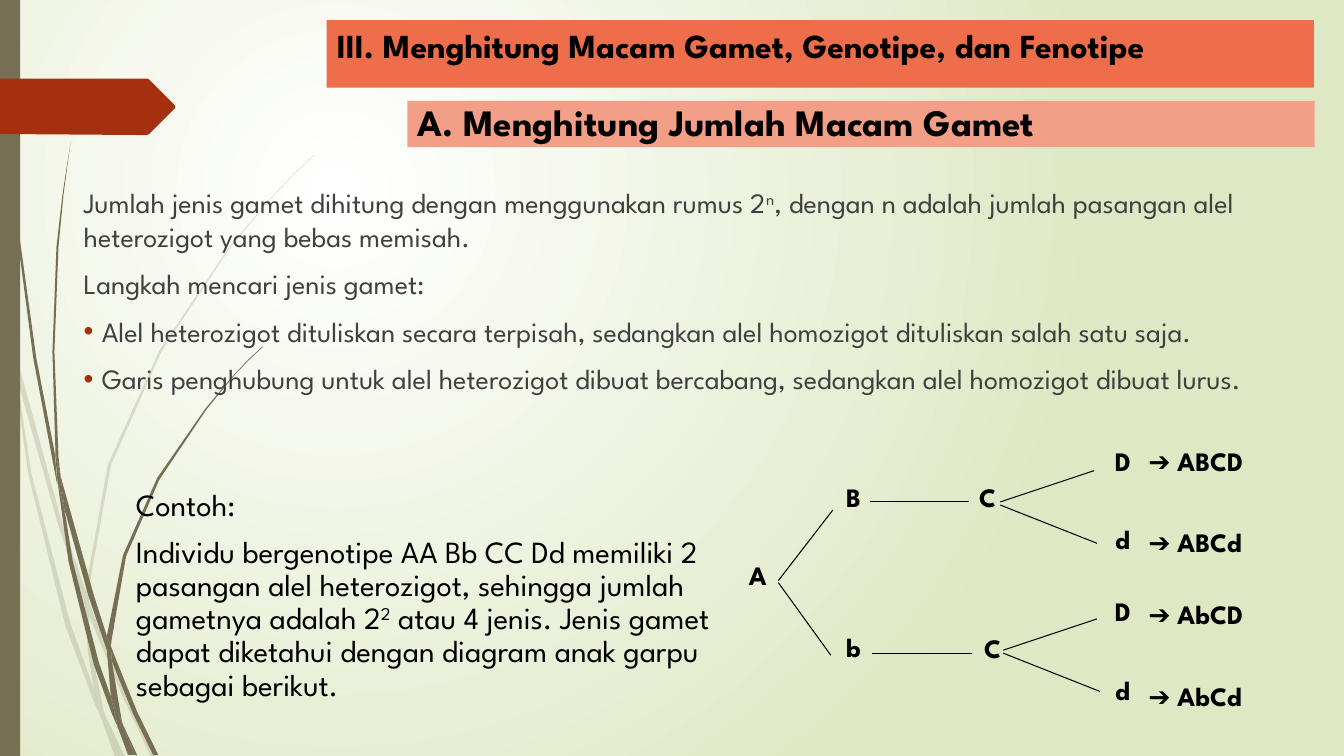
from dataclasses import dataclass
from typing import NamedTuple

from lxml import etree
from pptx import Presentation
from pptx import util as u
from pptx.dml import color
from pptx.enum import shapes, text
from pptx.oxml import ns


@dataclass(frozen=True)
class Theme:
    font: str = "League Spartan"
    ink: str = "000000"
    body: str = "404040"
    stem: str = "766F54"
    accent: str = "A53010"
    title_fill: str = "EE6E4B"
    subtitle_fill: str = "F39E87"
    glow: tuple = ("FFFFFF", "DFE8C4")
    title_size: float = 24
    subtitle_size: float = 26.6
    body_size: float = 20
    example_size: float = 22
    node_size: float = 19


THEME = Theme()


@dataclass(frozen=True)
class Style:
    size: float
    color: str = THEME.ink
    bold: bool = False
    spacing: float = 0.9
    before: float = 0
    align: text.PP_ALIGN = text.PP_ALIGN.LEFT


class Box(NamedTuple):
    left: float
    top: float
    width: float
    height: float


class Branch(NamedTuple):
    x1: float
    y1: float
    x2: float
    y2: float


class Label(NamedTuple):
    text: str
    left: float
    top: float


FAINT_GRASS = (
    ((0.11, 3.5), (0.09, 3.22), (0, 2.82), (0, 2.99), (0.1, 3.44)),
    ((0.58, 5.22), (0.84, 5.99), (0.85, 5.86), (0.62, 5.2), (0.14, 3.45), (0.17, 3.76)),
    ((0.92, 6.07), (0.88, 5.96), (0.88, 6.1), (1.23, 6.94), (1.5, 7.51), (1.55, 7.51), (1.27, 6.92)),
    ((1.19, 7.51), (1.24, 7.51), (1.05, 7.11)),
    ((0.93, 6.83), (0.7, 6.19), (0.31, 4.69), (0.17, 3.76), (0.11, 3.5), (0.28, 4.7), (0.65, 6.21),
     (0.92, 6.93), (1.01, 7.14), (0.99, 7.07)),
    ((0.84, 5.99), (0.87, 6.46), (0.93, 6.83), (0.96, 6.92), (1.05, 7.11), (1.03, 7.06), (0.91, 6.46),
     (0.88, 6.1), (0.88, 6.08)),
    ((0.88, 5.84), (1.1, 4.62), (1.6, 3.49), (2.29, 2.45), (2.68, 1.98), (2.9, 1.75), (3.12, 1.54),
     (3.12, 1.53), (2.89, 1.75), (2.68, 1.97), (2.28, 2.44), (1.58, 3.48), (1.07, 4.61), (0.85, 5.84),
     (0.85, 5.86), (0.88, 5.96)),
    ((1.01, 7.14), (1.14, 7.51), (1.19, 7.51)),
    ((0.88, 6.08), (0.88, 6.1), (0.88, 5.96), (0.85, 5.86), (0.84, 5.99)),
    ((0.96, 6.92), (0.93, 6.83), (0.99, 7.07), (1.01, 7.14), (1.19, 7.51), (1.05, 7.11)),
)
GRASS = (
    ((0.07, 1.1), (0.17, 2.33), (0.33, 3.55), (0.56, 4.77), (0.57, 4.81), (0.55, 4.57), (0.55, 4.53),
     (0.36, 3.55), (0.19, 2.32), (0.08, 1.09), (0.05, 0.48), (0.04, 0), (0.03, 0), (0.04, 0.48)),
    ((0.88, 5.92), (1.06, 6.45), (1.06, 6.33), (1.06, 6.31), (0.93, 5.9), (0.6, 4.72), (0.64, 5.05)),
    ((1.13, 6.49), (1.1, 6.41), (1.11, 6.56), (1.32, 7.08), (1.52, 7.49), (1.57, 7.49), (1.36, 7.06)),
    ((1.1, 6.91), (0.98, 6.57), (0.72, 5.56), (0.64, 5.05), (0.57, 4.77), (0.68, 5.57), (0.93, 6.59),
     (1.11, 7.08), (1.17, 7.22), (1.16, 7.17)),
    ((0.6, 4.72), (0.58, 4.53), (0.54, 3.49), (0.58, 2.45), (0.63, 1.93), (0.7, 1.41), (0.62, 1.93),
     (0.56, 2.45), (0.52, 3.49), (0.55, 4.49)),
    ((1.33, 7.49), (1.36, 7.49), (1.22, 7.19)),
    ((0.57, 4.77), (0.64, 5.05), (0.6, 4.72), (0.55, 4.49), (0.55, 4.53)),
    ((1.11, 6.33), (1.25, 5.52), (1.58, 4.76), (2.05, 4.06), (2.31, 3.74), (2.45, 3.59), (2.61, 3.44),
     (2.6, 3.44), (2.45, 3.58), (2.31, 3.73), (2.04, 4.05), (1.56, 4.74), (1.22, 5.51), (1.06, 6.31),
     (1.1, 6.41)),
    ((1.17, 7.22), (1.27, 7.49), (1.31, 7.49)),
    ((1.06, 6.45), (1.1, 6.91), (1.16, 7.06), (1.22, 7.19), (1.21, 7.16), (1.11, 6.56), (1.09, 6.51)),
    ((1.06, 6.45), (1.09, 6.51), (1.11, 6.56), (1.1, 6.41), (1.06, 6.31), (1.06, 6.33)),
    ((1.16, 7.06), (1.1, 6.91), (1.16, 7.17), (1.17, 7.22), (1.3, 7.49), (1.33, 7.49), (1.22, 7.19)),
)
RIBBON = ((1.73, 1.08), (1.48, 1.33), (1.46, 1.34), (1.36, 1.34), (0, 1.33), (0, 0.78), (1.46, 0.78),
          (1.48, 0.79), (1.73, 1.04), (1.74, 1.06))
ALLELES = (
    Label("A", 6.92, 5.53), Label("B", 7.87, 4.76), Label("b", 7.87, 6.25),
    Label("C", 9.2, 4.76), Label("C", 9.25, 6.26), Label("D", 10.54, 4.4),
    Label("d", 10.54, 5.17), Label("D", 10.54, 5.89), Label("d", 10.54, 6.67),
)
GAMETES = (Label("➔ ABCD", 11.29, 4.4), Label("➔ ABCd", 11.29, 5.2),
           Label("➔ AbCD", 11.29, 5.92), Label("➔ AbCd", 11.29, 6.73))
BRANCHES = (
    Branch(7.72, 5.76, 8.26, 5.06), Branch(7.72, 5.78, 8.24, 6.5), Branch(9.92, 4.98, 10.85, 4.67),
    Branch(9.92, 5.01, 10.88, 5.39), Branch(9.95, 6.45, 10.88, 6.14), Branch(9.95, 6.48, 10.91, 6.86),
    Branch(8.63, 4.98, 9.61, 4.98), Branch(8.65, 6.48, 9.64, 6.48),
)
STEPS = (
    "Jumlah jenis gamet dihitung dengan menggunakan rumus 2^n^, dengan n adalah jumlah pasangan alel "
    "heterozigot yang bebas memisah.",
    "Langkah mencari jenis gamet:",
    "Alel heterozigot dituliskan secara terpisah, sedangkan alel homozigot dituliskan salah satu saja.",
    "Garis penghubung untuk alel heterozigot dibuat bercabang, sedangkan alel homozigot dibuat lurus.",
)
EXAMPLE = (
    "Contoh:",
    "Individu bergenotipe AA Bb CC Dd memiliki 2 pasangan alel heterozigot, sehingga jumlah gametnya "
    "adalah 2^2^ atau 4 jenis. Jenis gamet dapat diketahui dengan diagram anak garpu sebagai berikut.",
)


def paint(shape, fill: str) -> None:
    shape.fill.solid()
    shape.fill.fore_color.rgb = color.RGBColor.from_string(fill)
    shape.line.fill.background()


def write(frame, lines: tuple, style: Style, anchor=text.MSO_ANCHOR.TOP) -> None:
    """Fill a frame with paragraphs; text between carets is raised."""
    frame.word_wrap, frame.auto_size, frame.vertical_anchor = True, text.MSO_AUTO_SIZE.NONE, anchor
    for index, line in enumerate(lines):
        paragraph = frame.add_paragraph() if index else frame.paragraphs[0]
        paragraph.alignment, paragraph.line_spacing = style.align, style.spacing
        paragraph.space_before = u.Pt(style.before)
        for position, piece in enumerate(line.split("^")):
            run = paragraph.add_run()
            run.text = piece
            run.font.name, run.font.size, run.font.bold = THEME.font, u.Pt(style.size), style.bold
            run.font.color.rgb = color.RGBColor.from_string(style.color)
            if position % 2:
                run._r.get_or_add_rPr().set("baseline", "30000")


def set_bullet(paragraph, bulleted: bool) -> None:
    properties = paragraph._p.get_or_add_pPr()
    indent = u.Inches(0.18) if bulleted else 0
    properties.set("marL", str(indent))
    properties.set("indent", str(-indent))
    if bulleted:
        bullet_color = etree.SubElement(properties, ns.qn("a:buClr"))
        etree.SubElement(bullet_color, ns.qn("a:srgbClr"), val=THEME.accent)
        etree.SubElement(properties, ns.qn("a:buFont"), typeface="Arial")
        etree.SubElement(properties, ns.qn("a:buChar"), char="•")
    else:
        etree.SubElement(properties, ns.qn("a:buNone"))


def paint_background(slide) -> None:
    """Circular glow centred in the upper left quarter."""
    fill = slide.background.fill
    fill.gradient()
    for position, stop in enumerate(fill.gradient_stops):
        stop.position, stop.color.rgb = position, color.RGBColor.from_string(THEME.glow[position])
    gradient = slide._element.find(".//" + ns.qn("a:gradFill"))
    gradient.remove(gradient.find(ns.qn("a:lin")))
    circle = etree.SubElement(gradient, ns.qn("a:path"), {"path": "circle"})
    etree.SubElement(circle, ns.qn("a:fillToRect"), l="50000", t="50000", r="100000", b="100000")


def draw_outline(slide, points: tuple, fill: str, faint: bool = False) -> None:
    start, *rest = [(u.Inches(x), u.Inches(y)) for x, y in points]
    builder = slide.shapes.build_freeform(*start)
    builder.add_line_segments(rest, close=True)
    shape = builder.convert_to_shape()
    shape.shadow.inherit = False
    paint(shape, fill)
    if faint:
        shade = shape._element.spPr.find(".//" + ns.qn("a:srgbClr"))
        etree.SubElement(shade, ns.qn("a:alpha"), val="20000")


def draw_block(slide, box: Box, fill: str):
    shape = slide.shapes.add_shape(shapes.MSO_SHAPE.RECTANGLE, *map(u.Inches, box))
    shape.shadow.inherit = False
    paint(shape, fill)
    return shape


def draw_text(slide, box: Box, lines: tuple, style: Style) -> None:
    write(slide.shapes.add_textbox(*map(u.Inches, box)).text_frame, lines, style)


def place(slide, holder, box: Box) -> None:
    """Move a placeholder to its box and to the front."""
    holder.left, holder.top, holder.width, holder.height = map(u.Inches, box)
    slide.shapes._spTree.append(holder._element)


def draw_texts(slide, title, body) -> None:
    place(slide, body, Box(0.73, 1.79, 12.31, 2.04))
    write(body.text_frame, STEPS, Style(THEME.body_size, THEME.body, spacing=1.0, before=10))
    for index, paragraph in enumerate(body.text_frame.paragraphs):
        set_bullet(paragraph, index >= 2)
    subtitle = draw_block(slide, Box(4.04, 1, 9, 0.46), THEME.subtitle_fill)
    write(subtitle.text_frame, ("A. Menghitung Jumlah Macam Gamet",),
          Style(THEME.subtitle_size, bold=True), text.MSO_ANCHOR.MIDDLE)
    place(slide, title, Box(3.24, 0.2, 9.79, 0.67))
    paint(title, THEME.title_fill)
    write(title.text_frame, ("III. Menghitung Macam Gamet, Genotipe, dan Fenotipe",),
          Style(THEME.title_size, bold=True, spacing=1.0))
    draw_text(slide, Box(1.25, 4.81, 5.91, 2.11), EXAMPLE, Style(THEME.example_size, before=9.7))


def draw_fork_diagram(slide) -> None:
    for labels, width, height, align in ((ALLELES, 1.19, 0.58, text.PP_ALIGN.CENTER),
                                         (GAMETES, 1.92, 0.56, text.PP_ALIGN.LEFT)):
        for label in labels:
            draw_text(slide, Box(label.left, label.top, width, height), (label.text,),
                      Style(THEME.node_size, bold=True, align=align))
    for branch in BRANCHES:
        line = slide.shapes.add_connector(shapes.MSO_CONNECTOR.STRAIGHT, *map(u.Inches, branch))
        line.line.color.rgb = color.RGBColor.from_string(THEME.ink)
        line.line.width = u.Pt(0.75)
        etree.SubElement(line._element.spPr, ns.qn("a:effectLst"))


def main() -> None:
    presentation = Presentation()
    presentation.slide_width, presentation.slide_height = u.Inches(13.33), u.Inches(7.5)
    slide = presentation.slides.add_slide(presentation.slide_layouts[1])
    title, body = slide.placeholders
    paint_background(slide)
    for pieces, faint in ((FAINT_GRASS, True), (GRASS, False)):
        for piece in pieces:
            draw_outline(slide, piece, THEME.stem, faint)
    draw_block(slide, Box(0, 0, 0.2, 7.5), THEME.stem)
    draw_outline(slide, RIBBON, THEME.accent)
    draw_texts(slide, title, body)
    draw_fork_diagram(slide)
    presentation.save("out.pptx")


if __name__ == "__main__":
    main()
